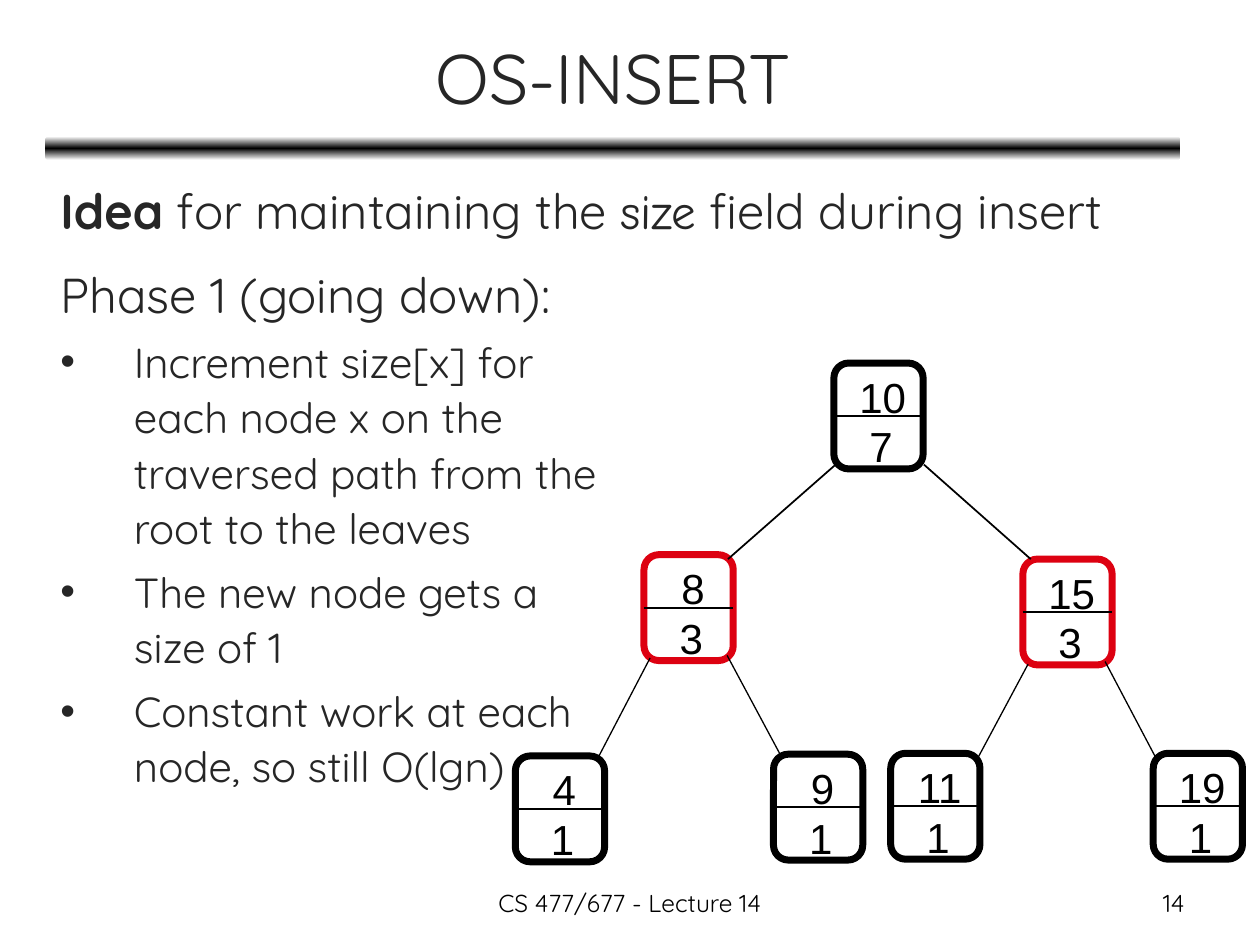
from copy import deepcopy
from lxml import etree
from pptx import Presentation, util as u
from pptx.dml.color import RGBColor
from pptx.enum import shapes, text
from pptx.oxml import ns

Pt = u.Pt
LEFT, CENTER, RIGHT = text.PP_ALIGN.LEFT, text.PP_ALIGN.CENTER, text.PP_ALIGN.RIGHT
INK, BLACK, RED = "262626", "000000", "DD0111"


def color(value):
    return RGBColor.from_string(value)


def style(paragraph, size, font, ink, align):
    paragraph.alignment = align
    for run in paragraph.runs:
        run.font.size, run.font.name = Pt(size), font
        run.font.color.rgb = color(ink)


presentation = Presentation()
presentation.slide_width, presentation.slide_height = Pt(720), Pt(540)
slide = presentation.slides.add_slide(presentation.slide_layouts[5])

rule = slide.shapes.add_shape(shapes.MSO_SHAPE.ROUNDED_RECTANGLE, Pt(26), Pt(78), Pt(648.5), Pt(13.5))
rule.shadow.inherit = False
rule.line.fill.background()
rule.fill.gradient()
rule.fill.gradient_angle = 90
first_stop = rule._element.spPr.find(".//" + ns.qn("a:gs"))
first_stop.addnext(deepcopy(first_stop))
for stop, position, shade in zip(rule.fill.gradient_stops, (0, 0.5, 1), ("FFFFFF", BLACK, "FFFFFF")):
    stop.position = position
    stop.color.rgb = color(shade)

title = slide.shapes.title
title.left, title.top, title.width, title.height = Pt(26.5), Pt(8), Pt(648), Pt(71)
title.text_frame.text = "OS-INSERT"
title.text_frame.vertical_anchor = text.MSO_ANCHOR.MIDDLE
style(title.text_frame.paragraphs[0], 40, "Quicksand", INK, CENTER)

idea = slide.shapes.add_textbox(Pt(27.5), Pt(96), Pt(645), Pt(52))
phase = slide.shapes.add_textbox(Pt(27.5), Pt(144), Pt(333), Pt(337))
idea.text_frame.word_wrap = phase.text_frame.word_wrap = True

idea_paragraph = idea.text_frame.paragraphs[0]
for part in ("Idea", " for maintaining the ", "size", " field during insert"):
    idea_paragraph.add_run().text = part
style(idea_paragraph, 28, "Quicksand", INK, LEFT)
idea_paragraph.runs[0].font.bold = True
idea_paragraph.runs[2].font.name = "Comic Neue"

phase.text_frame.text = "\n".join((
    "Phase 1 (going down):",
    "Increment size[x] for each node x on the traversed path from the root to the leaves",
    "The new node gets a size of 1",
    "Constant work at each node, so still O(lgn)",
))
heading, *bullets = phase.text_frame.paragraphs
style(heading, 28, "Quicksand", INK, LEFT)
for paragraph in bullets:
    style(paragraph, 24, "Quicksand", INK, LEFT)
    properties = paragraph._p.get_or_add_pPr()
    properties.set("marL", str(Pt(42)))
    properties.set("indent", str(-Pt(42)))
    etree.SubElement(properties, ns.qn("a:buFont")).set("typeface", "Arial")
    etree.SubElement(properties, ns.qn("a:buChar")).set("char", "•")
for paragraph in (idea_paragraph, heading, *bullets):
    paragraph.line_spacing = 1.1
    paragraph.space_before = Pt(5.6 if paragraph in (idea_paragraph, heading) else 4.8)

lines = []
nodes = [
    (10, 7, 476.5, 207.5, BLACK),
    (8, 3, 368, 317, RED),
    (15, 3, 584.5, 319.5, RED),
    (4, 1, 294.5, 432, BLACK),
    (9, 1, 442, 431, BLACK),
    (11, 1, 509, 430.5, BLACK),
    (19, 1, 659, 430.5, BLACK),
]
for key, size, left, top, outline in nodes:
    node = slide.shapes.add_shape(shapes.MSO_SHAPE.ROUNDED_RECTANGLE, Pt(left), Pt(top), Pt(51), Pt(60.5))
    node.shadow.inherit = False
    node.fill.background()
    node.line.color.rgb, node.line.width = color(outline), Pt(4)
    for value, dx, dy, width in ((key, 7.5, 1, 41), (size, 13, 29.5, 28)):
        label = slide.shapes.add_textbox(Pt(left + dx), Pt(top + dy), Pt(width), Pt(36))
        label.text_frame.word_wrap = False
        label.text_frame.text = str(value)
        style(label.text_frame.paragraphs[0], 24, "Arial", BLACK, CENTER)
    divider = slide.shapes.add_connector(shapes.MSO_CONNECTOR.STRAIGHT, 0, 0, 0, 0)
    divider.begin_connect(node, 1)
    divider.end_connect(node, 3)
    lines.append((divider, 1))

edges = [
    (477.5, 265.5, 416, 319.5, 1),
    (528, 265.5, 589, 319.5, 1),
    (371.5, 376, 342, 432.5, 0.75),
    (415.5, 374.5, 445.5, 430.5, 0.75),
    (587.5, 379.5, 557.5, 435.5, 0.75),
    (631.5, 378, 661, 434, 0.75),
]
for *ends, weight in edges:
    edge = slide.shapes.add_connector(shapes.MSO_CONNECTOR.STRAIGHT, *map(Pt, ends))
    lines.append((edge, weight))

for line, weight in lines:
    line.line.color.rgb, line.line.width = color(BLACK), Pt(weight)
    etree.SubElement(line._element.spPr, ns.qn("a:effectLst"))

for words, left, width, align in (
    ("CS 477/677 - Lecture 14", 246, 228, CENTER),
    ("14", 516, 168, RIGHT),
):
    footer = slide.shapes.add_textbox(Pt(left), Pt(504), Pt(width), Pt(25))
    footer.text_frame.word_wrap = True
    footer.text_frame.text = words
    style(footer.text_frame.paragraphs[0], 14, "Quicksand", BLACK, align)

presentation.save("out.pptx")
